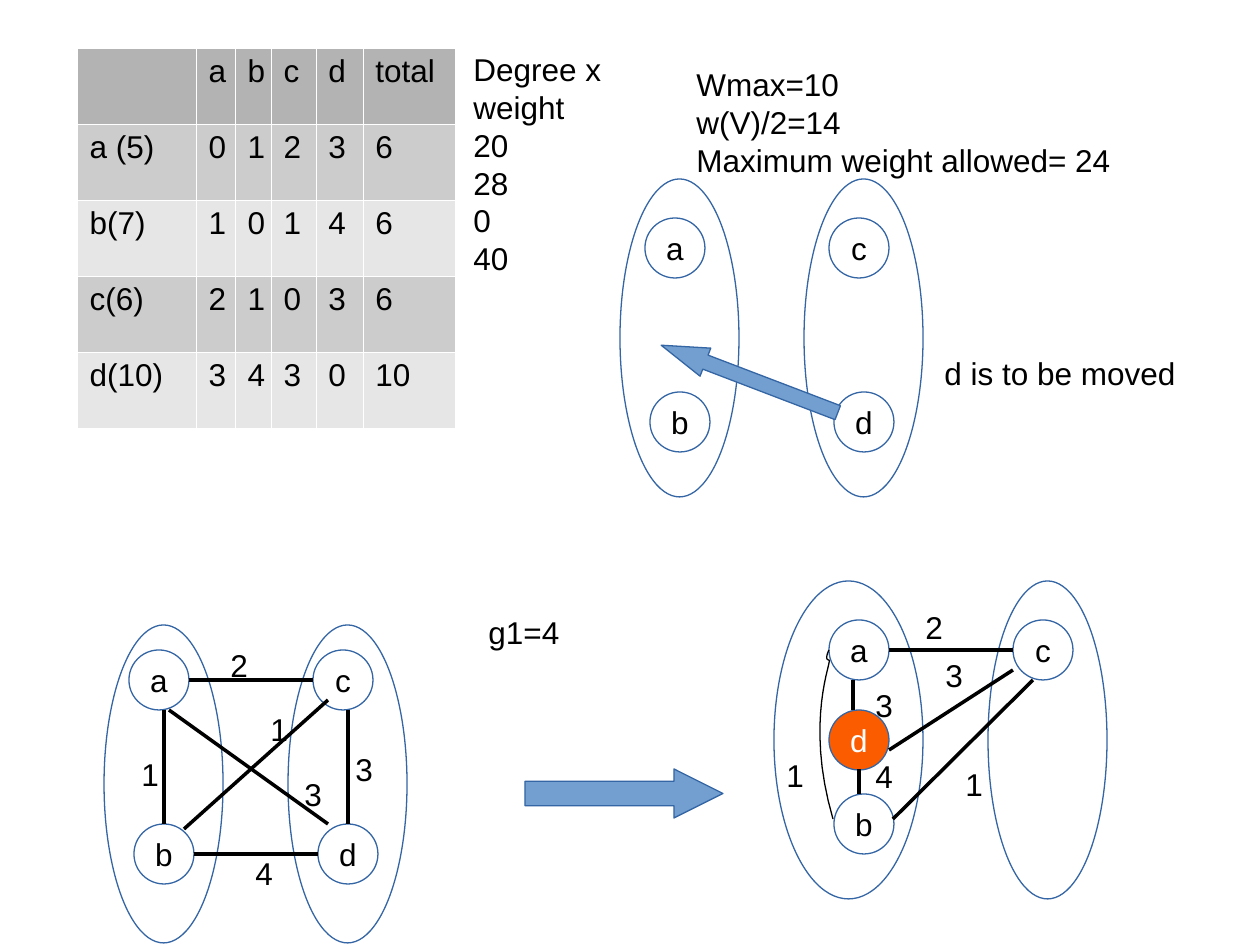
"""Build the graph partitioning slide: degree table, weight notes and three two-part graphs."""
from lxml import etree
from pptx import Presentation, util as u
from pptx.dml.color import RGBColor
from pptx.enum import shapes, text
from pptx.oxml.ns import qn

PX = 914400 / 126
FONT, SIZE = "Arial", 18
NODE = 60
COLORS = {"ink": "000000", "paper": "FFFFFF", "outline": "3465A4", "arrow": "729FCF",
          "moved": "FC5C00", "head": "B3B3B3", "odd": "CCCCCC", "even": "E6E6E6"}

TABLE_AT, ROW_HEIGHT = (77, 48), 76
COLUMNS = [119, 39, 36, 45, 47, 92]
ROWS = [["", "a", "b", "c", "d", "total"],
        ["a (5)", "0", "1", "2", "3", "6"],
        ["b(7)", "1", "0", "1", "4", "6"],
        ["c(6)", "2", "1", "0", "3", "6"],
        ["d(10)", "3", "4", "3", "0", "10"]]

NOTES = [((684, 59, 446, 118), ["Wmax=10", "w(V)/2=14", "Maximum weight allowed= 24"]),
         ((461, 44, 184, 417), ["Degree x weight", "20", "28", "0", "40"]),
         ((932, 348, 318, 48), ["d is to be moved"]),
         ((476, 607, 149, 48), ["g1=4"])]

SQUARE = {"a": (0, 0), "b": (5, 174), "c": (184, 0), "d": (189, 174)}
GRAPHS = [
    {"at": (645, 218), "nodes": SQUARE,
     "parts": [(-25, -39, 119, 318), (159, -39, 119, 318)]},
    {"at": (129, 650), "nodes": SQUARE,
     "parts": [(-25, -25, 119, 318), (159, -25, 119, 318)],
     "edges": [(35, 60, 35, 174), (219, 60, 219, 174), (60, 30, 184, 30),
               (65, 204, 189, 204), (40, 60, 199, 174), (55, 179, 199, 50)],
     "weights": [("2", 89, -10), ("1", 0, 99), ("3", 163, 119),
                 ("1", 129, 54), ("3", 214, 94), ("4", 114, 198)]},
    {"at": (829, 620), "nodes": {**SQUARE, "d": (0, 90)}, "moved": "d",
     "parts": [(-55, -39, 149, 318), (159, -39, 119, 318)],
     "edges": [(60, 30, 184, 30), (184, 50, 60, 130), (204, 60, 64, 199),
               (24, 60, 24, 90), (30, 149, 30, 174)],
     "weights": [("2", 84, -18), ("1", -55, 130), ("3", 34, 60),
                 ("1", 124, 139), ("3", 104, 30), ("4", 34, 131)],
     "curve": [[(4, 199), (-25, 99), (4, 40), (0, 40)],
               [(0, 40), (-5, 40), (0, 30), (0, 30)]]},
]
ARROWS = [(shapes.MSO_SHAPE.LEFT_ARROW, (655, 364, 189, 30), 20.9, 1.58),
          (shapes.MSO_SHAPE.RIGHT_ARROW, (525, 769, 198, 49), 0, 1)]


def emu(*lengths):
    return [u.Emu(round(length * PX)) for length in lengths]


def rgb(name):
    return RGBColor.from_string(COLORS[name])


def write(frame, lines, color="ink"):
    for index, line in enumerate(lines):
        paragraph = frame.paragraphs[0] if index == 0 else frame.add_paragraph()
        run = paragraph.add_run()
        run.text = line
        run.font.name, run.font.size = FONT, u.Pt(SIZE)
        run.font.color.rgb = rgb(color)


def add_text(slide, box, lines):
    frame = slide.shapes.add_textbox(*emu(*box)).text_frame
    frame.word_wrap = True
    frame.auto_size = text.MSO_AUTO_SIZE.SHAPE_TO_FIT_TEXT
    write(frame, lines)


def style(shape, fill=None, line="outline"):
    shape.shadow.inherit = False
    if fill:
        shape.fill.solid()
        shape.fill.fore_color.rgb = rgb(fill)
    else:
        shape.fill.background()
    shape.line.color.rgb = rgb(line)
    shape.line.width = 0


def add_shape(slide, kind, box, fill=None):
    shape = slide.shapes.add_shape(kind, *emu(*box))
    style(shape, fill)
    return shape


def add_node(slide, label, x, y, moved):
    shape = add_shape(slide, shapes.MSO_SHAPE.OVAL, (x, y, NODE, NODE),
                      "moved" if moved else "paper")
    frame = shape.text_frame
    frame.word_wrap = False
    frame.vertical_anchor = text.MSO_ANCHOR.MIDDLE
    write(frame, [label], "paper" if moved else "ink")
    frame.paragraphs[0].alignment = text.PP_ALIGN.CENTER


def add_edge(slide, ends):
    edge = slide.shapes.add_connector(shapes.MSO_CONNECTOR.STRAIGHT, *emu(*ends))
    edge.line.color.rgb = rgb("ink")
    edge.line.width = 0
    etree.SubElement(edge._element.spPr, qn("a:effectLst"))


def bezier(points, t):
    weights = ((1 - t) ** 3, 3 * t * (1 - t) ** 2, 3 * t ** 2 * (1 - t), t ** 3)
    return tuple(sum(w * p[axis] for w, p in zip(weights, points)) for axis in (0, 1))


def add_curve(slide, segments, left, top, steps=16):
    points = [bezier(segment, step / steps) for segment in segments for step in range(steps + 1)]
    points = [emu(left + x, top + y) for x, y in points]
    builder = slide.shapes.build_freeform(*points[0])
    builder.add_line_segments(points[1:], close=False)
    style(builder.convert_to_shape(), line="ink")


def add_graph(slide, graph):
    left, top = graph["at"]
    for label, (x, y) in graph["nodes"].items():
        add_node(slide, label, left + x, top + y, label == graph.get("moved"))
    for x, y, width, height in graph["parts"]:
        add_shape(slide, shapes.MSO_SHAPE.OVAL, (left + x, top + y, width, height))
    for x1, y1, x2, y2 in graph.get("edges", []):
        add_edge(slide, (left + x1, top + y1, left + x2, top + y2))
    for weight, x, y in graph.get("weights", []):
        add_text(slide, (left + x, top + y, 39, 48), [weight])
    if "curve" in graph:
        add_curve(slide, graph["curve"], left, top)


def add_borders(cell):
    properties = cell._tc.get_or_add_tcPr()
    for index, side in enumerate(("lnL", "lnR", "lnT", "lnB")):
        border = etree.Element(qn(f"a:{side}"), w="762")
        fill = etree.SubElement(border, qn("a:solidFill"))
        etree.SubElement(fill, qn("a:srgbClr"), val=COLORS["paper"])
        properties.insert(index, border)


def add_degree_table(slide):
    box = emu(*TABLE_AT, sum(COLUMNS), ROW_HEIGHT * len(ROWS))
    table = slide.shapes.add_table(len(ROWS), len(COLUMNS), *box).table
    for column, width in zip(table.columns, emu(*COLUMNS)):
        column.width = width
    for r, values in enumerate(ROWS):
        fill = "head" if r == 0 else "odd" if r % 2 else "even"
        for c, value in enumerate(values):
            cell = table.cell(r, c)
            cell.fill.solid()
            cell.fill.fore_color.rgb = rgb(fill)
            add_borders(cell)
            if value:
                write(cell.text_frame, [value])


def main():
    presentation = Presentation()
    presentation.slide_width, presentation.slide_height = u.Inches(10), u.Inches(7.5)
    slide = presentation.slides.add_slide(presentation.slide_layouts[6])
    add_degree_table(slide)
    for graph in GRAPHS:
        add_graph(slide, graph)
    for box, lines in NOTES:
        add_text(slide, box, lines)
    for kind, box, rotation, head in ARROWS:
        arrow = add_shape(slide, kind, box, "arrow")
        arrow.rotation = rotation
        arrow.adjustments[0], arrow.adjustments[1] = 0.5, head
    presentation.save("out.pptx")


if __name__ == "__main__":
    main()
